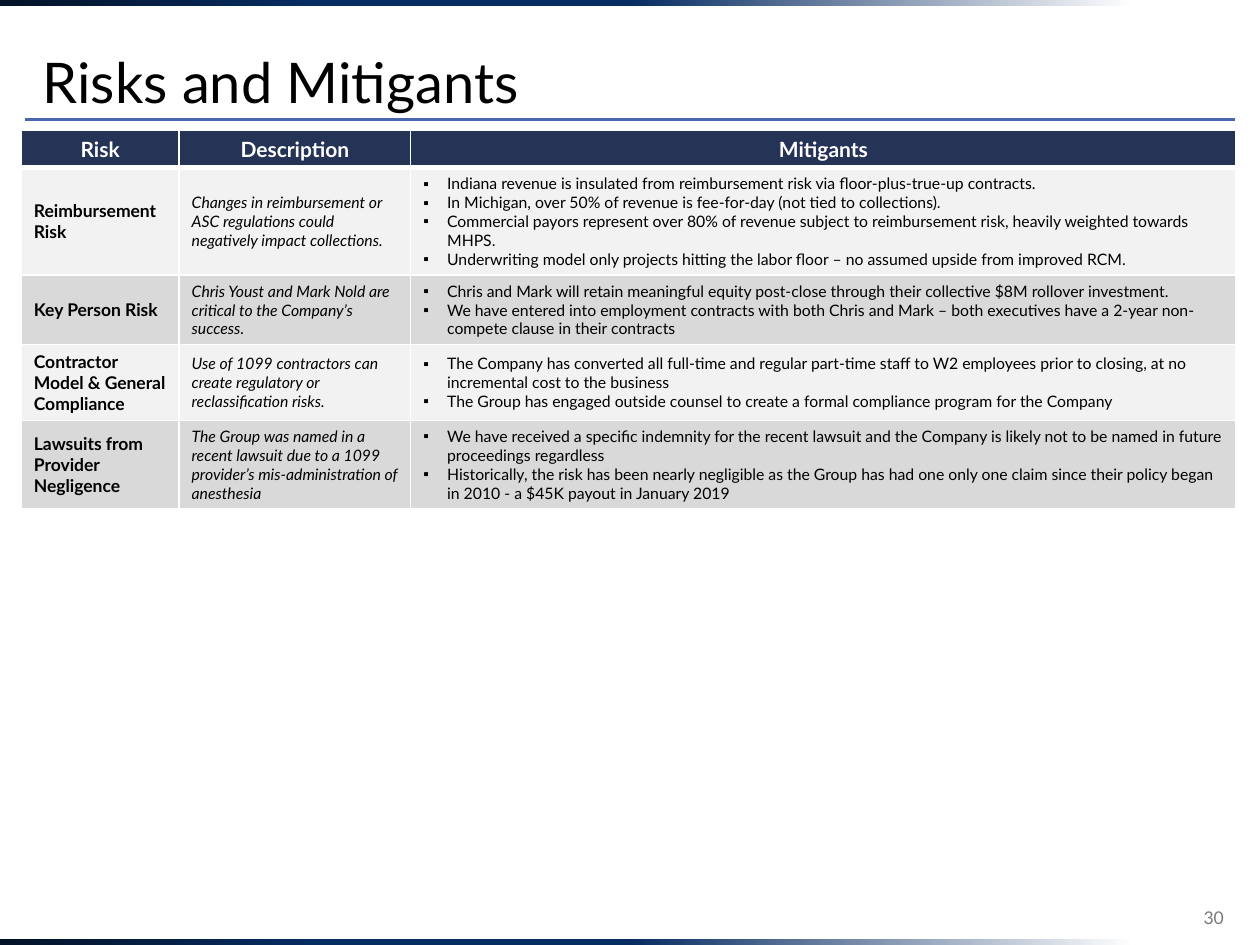
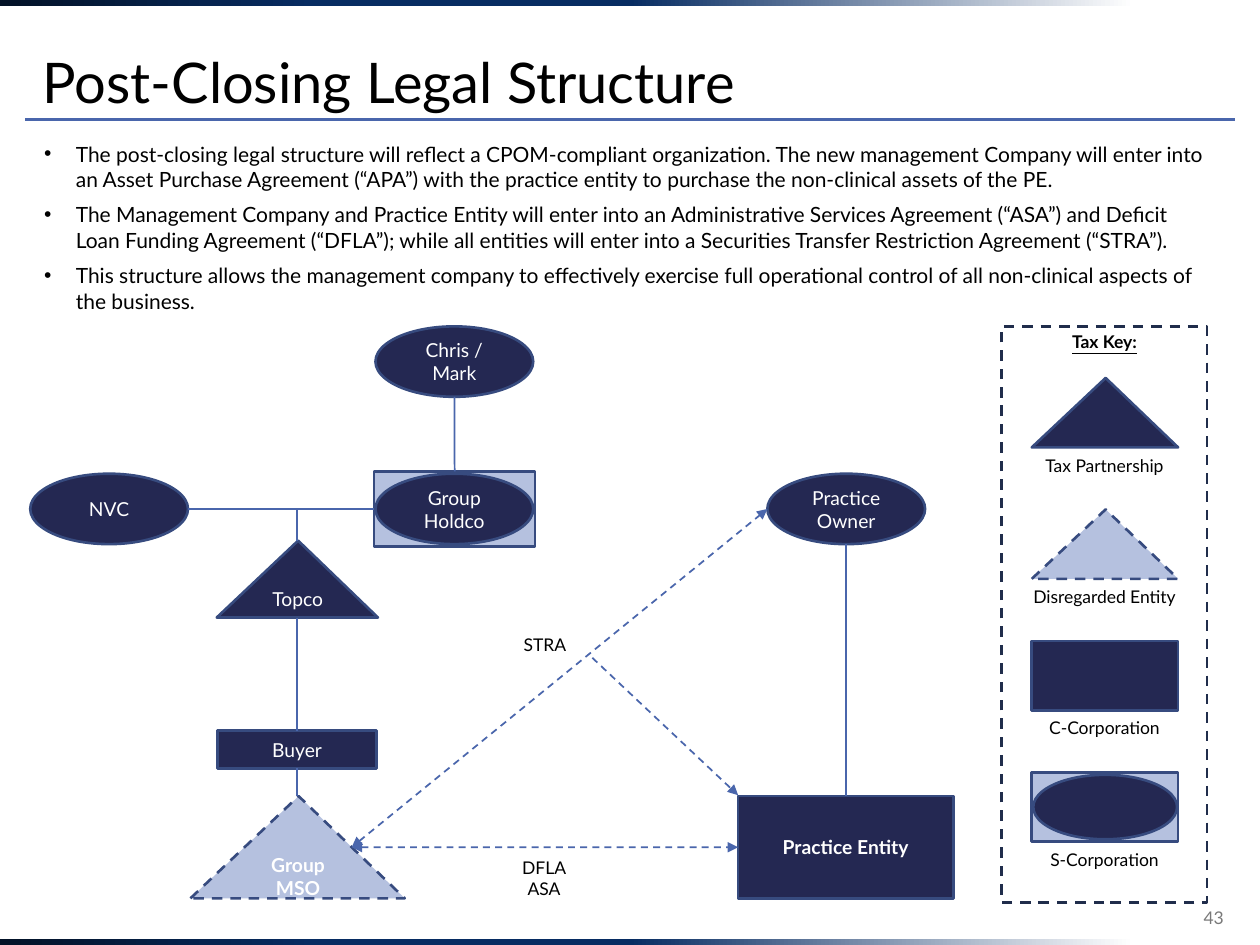
from lxml.etree import SubElement
from pptx import Presentation
from pptx.dml.color import RGBColor
from pptx.enum.dml import MSO_LINE
from pptx.enum.shapes import MSO_CONNECTOR, MSO_SHAPE, MSO_SHAPE_TYPE
from pptx.enum.text import MSO_ANCHOR as Anchor, PP_ALIGN as Align
from pptx.oxml import parse_xml
from pptx.oxml.ns import nsdecls, qn
from pptx.util import Cm, Pt

FONT = "Lato"
BLACK = RGBColor(0x00, 0x00, 0x00)
WHITE = RGBColor(0xFF, 0xFF, 0xFF)
PAGE_GREY = RGBColor(0x79, 0x79, 0x79)
RULE_BLUE = RGBColor(0x4A, 0x66, 0xAC)
HEADER_NAVY = RGBColor(0x25, 0x33, 0x56)
LIGHT_ROW = RGBColor(0xF2, 0xF2, 0xF2)
DARK_ROW = RGBColor(0xD9, 0xD9, 0xD9)
ENTITY_NAVY = RGBColor(0x24, 0x28, 0x52)
PALE_BLUE = RGBColor(0xB5, 0xC1, 0xDF)
OUTLINE_BLUE = RGBColor(0x37, 0x4B, 0x7F)
KEY_NAVY = RGBColor(0x20, 0x2D, 0x4B)
BAND_STOPS = [(0, "031227"), (25, "072C62"), (50, "072C62"), (90, "FFFFFF")]


def write(frame, lines, size, color=BLACK, bold=False, italic=False,
          align=Align.LEFT, bullet=None, indent=0, gap=0):
    frame.word_wrap = True
    for index, line in enumerate(lines):
        paragraph = frame.paragraphs[0] if index == 0 else frame.add_paragraph()
        paragraph.text = line
        if bullet:
            properties = paragraph._p.get_or_add_pPr()
            properties.set("marL", str(Cm(indent)))
            properties.set("indent", str(-Cm(indent)))
            SubElement(properties, qn("a:buFont")).set("typeface", "Arial")
            SubElement(properties, qn("a:buChar")).set("char", bullet)
        paragraph.alignment = align
        paragraph.space_before = Pt(gap if index else 0)
        paragraph.space_after = Pt(gap)
        paragraph.font.name = FONT
        paragraph.font.size = Pt(size)
        paragraph.font.bold = bold
        paragraph.font.italic = italic
        paragraph.font.color.rgb = color


def add_figure(slide, kind, box, fill=None, line=OUTLINE_BLUE, dashed=False):
    shape = slide.shapes.add_shape(kind, *map(Cm, box))
    shape.shadow.inherit = False
    if fill is None:
        shape.fill.background()
    else:
        shape.fill.solid()
        shape.fill.fore_color.rgb = fill
    if line is None:
        shape.line.fill.background()
    else:
        shape.line.color.rgb = line
        shape.line.width = Pt(1.5)
    if dashed:
        shape.line.dash_style = MSO_LINE.DASH
    if kind == MSO_SHAPE.ISOSCELES_TRIANGLE:
        shape.adjustments[0] = 0.505
    return shape


presentation = Presentation()
presentation.slide_width = Cm(25.4)
presentation.slide_height = Cm(19.05)
blank_layout = presentation.slide_layouts[6]

for title, page in [("Risks and Mitigants", "30"), ("Post-Closing Legal Structure", "43")]:
    slide = presentation.slides.add_slide(blank_layout)
    rule = slide.shapes.add_connector(
        MSO_CONNECTOR.STRAIGHT, Cm(0.51), Cm(2.41), Cm(24.89), Cm(2.41))
    rule.line.color.rgb = RULE_BLUE
    rule.line.width = Pt(1.5)
    for top in (0, 18.92):
        band = add_figure(slide, MSO_SHAPE.RECTANGLE, (0, top, 25.4, 0.13), line=None)
        stops = "".join(f'<a:gs pos="{position * 1000}"><a:srgbClr val="{color}"/></a:gs>'
                        for position, color in BAND_STOPS)
        gradient = parse_xml(f'<a:gradFill {nsdecls("a")}><a:gsLst>{stops}</a:gsLst>'
                             '<a:lin ang="0" scaled="0"/></a:gradFill>')
        properties = band._element.spPr
        properties.replace(properties.find(qn("a:noFill")), gradient)
    title_box = slide.shapes.add_textbox(Cm(0.61), Cm(0.61), Cm(24.16), Cm(1.85))
    title_box.text_frame.vertical_anchor = Anchor.BOTTOM
    write(title_box.text_frame, [title], 32)
    title_box.text_frame.paragraphs[0].line_spacing = 0.9
    page_box = slide.shapes.add_textbox(Cm(20.75), Cm(17.98), Cm(4.17), Cm(1.02))
    page_box.text_frame.vertical_anchor = Anchor.MIDDLE
    write(page_box.text_frame, [page], 10, PAGE_GREY, align=Align.RIGHT)

risk_slide, structure_slide = presentation.slides

risks = [
    ("Reimbursement Risk",
     "Changes in reimbursement or ASC regulations could negatively impact collections.",
     ["Indiana revenue is insulated from reimbursement risk via floor-plus-true-up contracts.",
      "In Michigan, over 50% of revenue is fee-for-day (not tied to collections).",
      "Commercial payors represent over 80% of revenue subject to reimbursement risk, "
      "heavily weighted towards MHPS.",
      "Underwriting model only projects hitting the labor floor – no assumed upside "
      "from improved RCM."]),
    ("Key Person Risk",
     "Chris Youst and Mark Nold are critical to the Company’s success.",
     ["Chris and Mark will retain meaningful equity post-close through their collective "
      "$8M rollover investment.",
      "We have entered into employment contracts with both Chris and Mark – both "
      "executives have a 2-year non-compete clause in their contracts"]),
    ("Contractor Model & General Compliance",
     "Use of 1099 contractors can create regulatory or reclassification risks.",
     ["The Company has converted all full-time and regular part-time staff to W2 "
      "employees prior to closing, at no incremental cost to the business",
      "The Group has engaged outside counsel to create a formal compliance program "
      "for the Company"]),
    ("Lawsuits from Provider Negligence",
     "The Group was named in a recent lawsuit due to a 1099 provider’s mis-administration "
     "of anesthesia",
     ["We have received a specific indemnity for the recent lawsuit and the Company is "
      "likely not to be named in future proceedings regardless",
      "Historically, the risk has been nearly negligible as the Group has had one only one "
      "claim since their policy began in 2010 - a $45K payout in January 2019"]),
]
column_widths = [3.18, 4.67, 16.64]
row_heights = [0.76, 2.13, 1.4, 1.52, 1.78]
table = risk_slide.shapes.add_table(
    len(row_heights), len(column_widths), Cm(0.43), Cm(2.62),
    Cm(sum(column_widths)), Cm(sum(row_heights))).table
table.horz_banding = False
for column, width in zip(table.columns, column_widths):
    column.width = Cm(width)
for row, height in zip(table.rows, row_heights):
    row.height = Cm(height)

for column, heading in enumerate(["Risk", "Description", "Mitigants"]):
    write(table.cell(0, column).text_frame, [heading], 12, WHITE, bold=True, align=Align.CENTER)
for row, (risk, description, mitigants) in enumerate(risks, start=1):
    write(table.cell(row, 0).text_frame, [risk], 10, bold=True)
    write(table.cell(row, 1).text_frame, [description], 9, italic=True)
    write(table.cell(row, 2).text_frame, mitigants, 9, bullet="▪", indent=0.48)

for row_index, row in enumerate(table.rows):
    for cell in row.cells:
        cell.vertical_anchor = Anchor.MIDDLE
        for side in "LRTB":
            heavy = (row_index, side) in [(0, "B"), (1, "T")]
            cell._tc.get_or_add_tcPr().append(parse_xml(
                f'<a:ln{side} {nsdecls("a")} w="{Pt(3 if heavy else 1)}"><a:solidFill>'
                f'<a:srgbClr val="{WHITE}"/></a:solidFill></a:ln{side}>'))
        cell.fill.solid()
        cell.fill.fore_color.rgb = (
            HEADER_NAVY if row_index == 0 else LIGHT_ROW if row_index % 2 else DARK_ROW)

summary = structure_slide.shapes.add_textbox(Cm(0.64), Cm(2.72), Cm(24.13), Cm(3.76))
write(summary.text_frame, [
    "The post-closing legal structure will reflect a CPOM-compliant organization. The new "
    "management Company will enter into an Asset Purchase Agreement (“APA”) with the practice "
    "entity to purchase the non-clinical assets of the PE.",
    "The Management Company and Practice Entity will enter into an Administrative Services "
    "Agreement (“ASA”) and Deficit Loan Funding Agreement (“DFLA”); while all entities will "
    "enter into a Securities Transfer Restriction Agreement (“STRA”).",
    "This structure allows the management company to effectively exercise full operational "
    "control of all non-clinical aspects of the business.",
], 12, bullet="•", indent=0.64, gap=3)

RECTANGLE, OVAL, TRIANGLE = MSO_SHAPE.RECTANGLE, MSO_SHAPE.OVAL, MSO_SHAPE.ISOSCELES_TRIANGLE
holdco_box = add_figure(structure_slide, RECTANGLE, (7.54, 9.5, 3.25, 1.52), PALE_BLUE)
entities = {}
for name, kind, box in [
    ("Chris / Mark", OVAL, (7.57, 6.58, 3.18, 1.42)),
    ("Group Holdco", OVAL, (7.57, 9.55, 3.18, 1.42)),
    ("NVC", OVAL, (0.61, 9.55, 3.18, 1.42)),
    ("Practice Owner", OVAL, (15.47, 9.55, 3.18, 1.42)),
    ("Topco", TRIANGLE, (4.37, 10.9, 3.25, 1.55)),
    ("Buyer", RECTANGLE, (4.39, 14.73, 3.2, 0.76)),
    ("Group MSO", TRIANGLE, (3.84, 16.05, 4.32, 2.06)),
    ("Practice Entity", RECTANGLE, (14.88, 16.05, 4.34, 2.06)),
]:
    disregarded = name == "Group MSO"
    entity = add_figure(structure_slide, kind, box,
                        PALE_BLUE if disregarded else ENTITY_NAVY, dashed=disregarded)
    entity.text_frame.vertical_anchor = Anchor.TOP if disregarded else Anchor.MIDDLE
    write(entity.text_frame, [name], 11, WHITE,
          bold=name in ("Group MSO", "Practice Entity"), align=Align.CENTER)
    entities[name] = entity
buyer, practice_entity = entities["Buyer"], entities["Practice Entity"]

for start, end, begin_joint, end_joint, arrows in [
    ((9.16, 8), (9.16, 9.5), None, (holdco_box, 0), []),
    ((3.79, 10.26), (7.54, 10.26), None, (holdco_box, 1), []),
    ((5.99, 10.26), (5.99, 10.9), None, None, []),
    ((5.99, 12.45), (5.99, 14.73), None, (buyer, 0), []),
    ((5.99, 15.49), (5.99, 16.05), (buyer, 2), None, []),
    ((17.05, 10.97), (17.05, 16.05), None, (practice_entity, 0), []),
    ((7.09, 17.08), (14.88, 17.08), None, (practice_entity, 1), ["headEnd", "tailEnd"]),
    ((7.09, 17.08), (15.47, 10.26), None, None, ["headEnd", "tailEnd"]),
    ((11.94, 13.26), (14.88, 16.03), None, None, ["tailEnd"]),
]:
    link = structure_slide.shapes.add_connector(
        MSO_CONNECTOR.STRAIGHT, *map(Cm, start + end))
    link.line.color.rgb = RULE_BLUE
    link.line.width = Pt(1)
    if begin_joint:
        link.begin_connect(*begin_joint)
    if end_joint:
        link.end_connect(*end_joint)
    if arrows:
        link.line.dash_style = MSO_LINE.DASH
    for arrow in arrows:
        SubElement(link.line._get_or_add_ln(), qn(f"a:{arrow}")).set("type", "triangle")

add_figure(structure_slide, RECTANGLE, (20.19, 6.58, 4.14, 11.61), line=KEY_NAVY, dashed=True)
labels = [
    (["STRA"], (10.16, 12.73, 1.65, 0.53), Anchor.MIDDLE),
    (["DFLA", "ASA"], (10.03, 17.27, 1.88, 0.94), Anchor.TOP),
    (["Tax Key:"], (21.34, 6.68, 1.85, 0.81), Anchor.TOP),
]
for index, (name, kind, fill, dashed) in enumerate([
    ("Tax Partnership", TRIANGLE, ENTITY_NAVY, False),
    ("Disregarded Entity", TRIANGLE, PALE_BLUE, True),
    ("C-Corporation", RECTANGLE, ENTITY_NAVY, False),
    ("S-Corporation", RECTANGLE, PALE_BLUE, False),
]):
    top = 7.62 + 2.65 * index
    add_figure(structure_slide, kind, (20.8, top, 2.95, 1.4), fill, dashed=dashed)
    if name == "S-Corporation":
        add_figure(structure_slide, OVAL, (20.83, top + 0.05, 2.9, 1.3), ENTITY_NAVY)
    labels.append(([name], (20.27, top + 1.45, 3.99, 0.61), Anchor.MIDDLE))

for lines, box, anchor in labels:
    label = structure_slide.shapes.add_textbox(*map(Cm, box))
    frame = label.text_frame
    frame.margin_left = frame.margin_right = frame.margin_top = frame.margin_bottom = 0
    frame.vertical_anchor = anchor
    is_heading = lines == ["Tax Key:"]
    write(frame, lines, 10, bold=is_heading, align=Align.CENTER)
    if is_heading:
        frame.paragraphs[0].font.underline = True

for slide in presentation.slides:
    for shape in slide.shapes:
        if shape.shape_type == MSO_SHAPE_TYPE.LINE:
            SubElement(shape._element.spPr, qn("a:effectLst"))

presentation.save("out.pptx")
